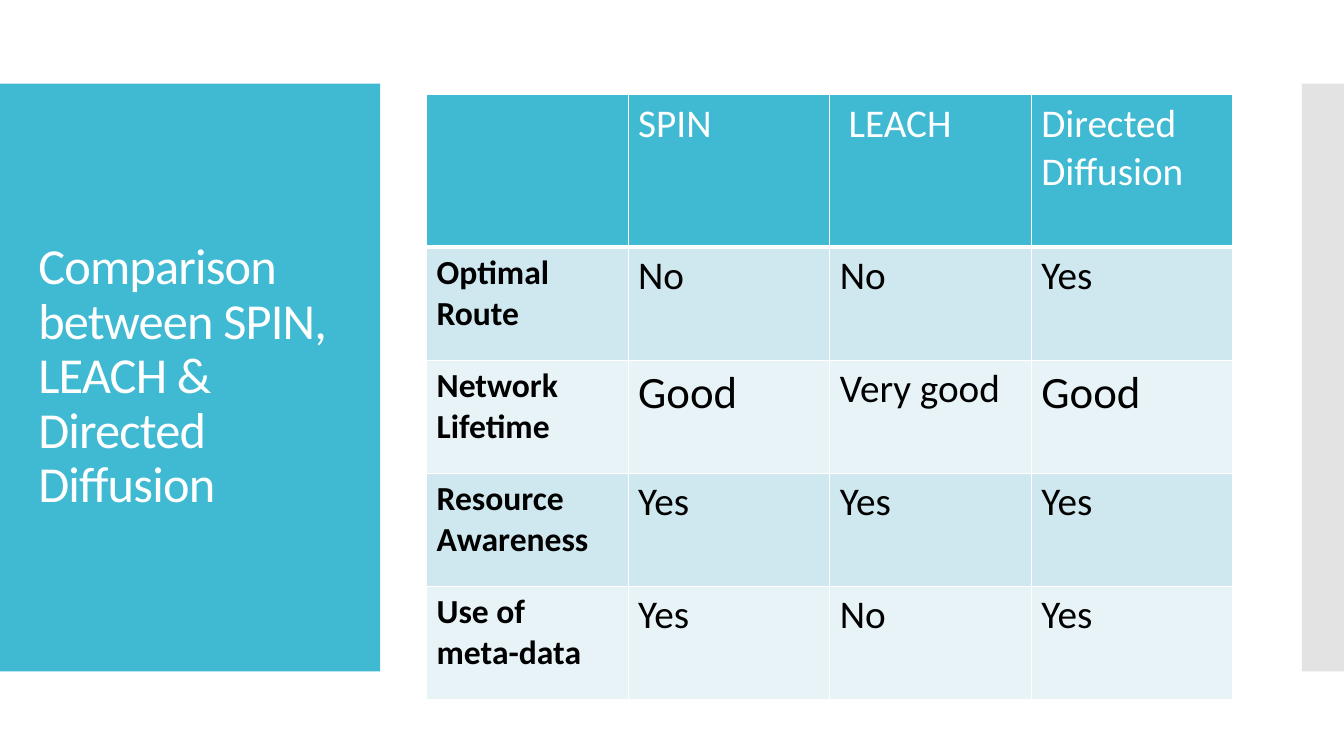
from dataclasses import dataclass

from lxml.etree import SubElement
from pptx import Presentation
from pptx.dml.color import RGBColor
from pptx.enum.shapes import MSO_SHAPE
from pptx.enum.text import MSO_ANCHOR, MSO_AUTO_SIZE, PP_ALIGN
from pptx.oxml import parse_xml
from pptx.oxml.ns import nsdecls, qn
from pptx.slide import Slide
from pptx.table import _Cell
from pptx.text.text import _Run
from pptx.util import Cm, Pt

FONT = "Calibri"
TEAL, WHITE, BLACK, GREY = "40BAD2", "FFFFFF", "000000", "C8C8C8"
BANDS = ("CFE7EE", "E8F3F7")


@dataclass
class Panel:
    left: float
    width: float
    fill: str
    alpha: int = 100


@dataclass
class Entry:
    text: str
    size: int = 28
    bold: bool = False


PANELS = [Panel(0, 9.58, TEAL), Panel(32.81, 1.06, GREY, 50)]


def label(text: str) -> Entry:
    return Entry(text, 24, True)


ROWS = [
    [Entry(""), Entry("SPIN"), Entry(" LEACH"), Entry("Directed\nDiffusion")],
    [label("Optimal\nRoute"), Entry("No"), Entry("No"), Entry("Yes")],
    [label("Network\nLifetime"), Entry("Good", 32), Entry("Very good"), Entry("Good", 32)],
    [label("Resource\nAwareness"), Entry("Yes"), Entry("Yes"), Entry("Yes")],
    [label("Use of\nmeta-data"), Entry("Yes"), Entry("No"), Entry("Yes")],
]


def rgb(color: str) -> RGBColor:
    return RGBColor.from_string(color)


def style_run(r: _Run, size: int, color: str, bold: bool = False) -> None:
    r.font.name = FONT
    r.font.size = Pt(size)
    r.font.bold = bold
    r.font.color.rgb = rgb(color)


def add_panel(s: Slide, panel: Panel) -> None:
    sp = s.shapes.add_shape(
        MSO_SHAPE.RECTANGLE, Cm(panel.left), Cm(2.11), Cm(panel.width), Cm(14.81)
    )
    sp.shadow.inherit = False
    sp.fill.solid()
    sp.fill.fore_color.rgb = rgb(panel.fill)
    sp.line.fill.background()
    if panel.alpha < 100:
        color = sp._element.spPr.find(qn("a:solidFill"))[0]
        SubElement(color, qn("a:alpha")).set("val", str(panel.alpha * 1000))


def set_title(s: Slide) -> None:
    sp = s.shapes.title
    s.shapes._spTree.append(sp._element)
    sp.left, sp.top, sp.width, sp.height = Cm(0.71), Cm(3.12), Cm(8.18), Cm(12.78)
    tf = sp.text_frame
    tf.word_wrap = True
    tf.auto_size = MSO_AUTO_SIZE.NONE
    tf.vertical_anchor = MSO_ANCHOR.MIDDLE
    p = tf.paragraphs[0]
    p.alignment = PP_ALIGN.LEFT
    p.line_spacing = 0.9
    for i, text in enumerate(("Comparison between SPIN, LEACH &", "Directed Diffusion")):
        if i:
            p.add_line_break()
        r = p.add_run()
        r.text = text
        style_run(r, 36, WHITE)
        r._r.get_or_add_rPr().set("spc", "-60")


def set_borders(cell: _Cell, top: int, bottom: int) -> None:
    tc_pr = cell._tc.get_or_add_tcPr()
    widths = {"lnL": 1, "lnR": 1, "lnT": top, "lnB": bottom}
    for i, (side, width) in enumerate(widths.items()):
        tc_pr.insert(i, parse_xml(
            f'<a:{side} {nsdecls("a")} w="{Pt(width)}"><a:solidFill>'
            f'<a:srgbClr val="{WHITE}"/></a:solidFill></a:{side}>'
        ))


def fill_cell(cell: _Cell, entry: Entry, row: int) -> None:
    cell.fill.solid()
    cell.fill.fore_color.rgb = rgb(BANDS[(row - 1) % 2] if row else TEAL)
    set_borders(cell, 3 if row == 1 else 1, 1 if row else 3)
    if not entry.text:
        return
    tf = cell.text_frame
    for i, text in enumerate(entry.text.split("\n")):
        p = tf.add_paragraph() if i else tf.paragraphs[0]
        r = p.add_run()
        r.text = text
        style_run(r, entry.size, BLACK if row else WHITE, entry.bold)


def add_comparison(s: Slide) -> None:
    table = s.shapes.add_table(
        len(ROWS), len(ROWS[0]), Cm(10.75), Cm(2.39), Cm(20.32), Cm(15.24)
    ).table
    for column in table.columns:
        column.width = Cm(5.08)
    for i, entries in enumerate(ROWS):
        table.rows[i].height = Cm(2.85 if i else 3.84)
        for j, entry in enumerate(entries):
            fill_cell(table.cell(i, j), entry, i)


def main() -> None:
    prs = Presentation()
    prs.slide_width, prs.slide_height = Cm(33.87), Cm(19.05)
    s = prs.slides.add_slide(prs.slide_layouts[5])
    for panel in PANELS:
        add_panel(s, panel)
    set_title(s)
    add_comparison(s)
    prs.save("out.pptx")


if __name__ == "__main__":
    main()
